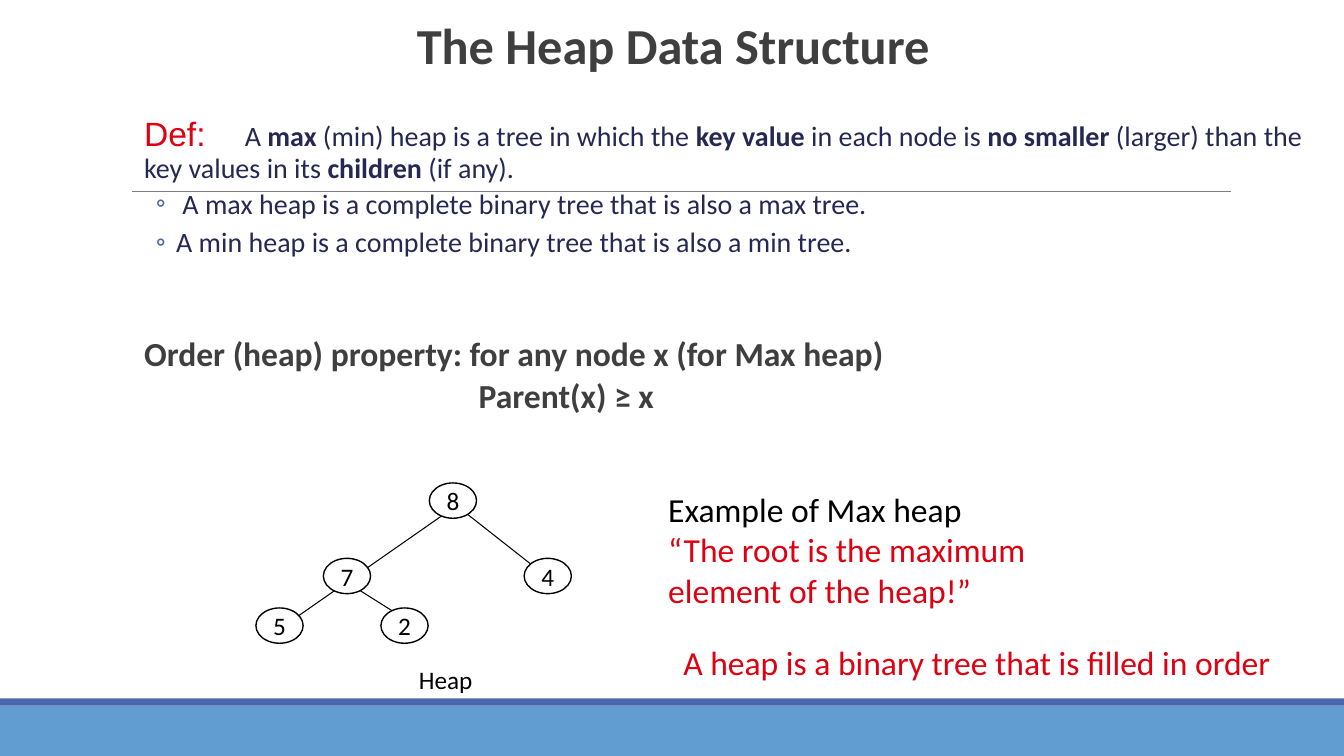
from dataclasses import dataclass
from lxml import etree
from pptx import Presentation
from pptx import util as u
from pptx.dml.color import RGBColor
from pptx.enum import shapes, text
from pptx.oxml.ns import qn

BLACK = RGBColor(0x00, 0x00, 0x00)
WHITE = RGBColor(0xFF, 0xFF, 0xFF)
GRAY = RGBColor(0x3F, 0x3F, 0x3F)
RULE_GRAY = RGBColor(0x7F, 0x7F, 0x7F)
RED = RGBColor(0xDD, 0x01, 0x11)
NAVY = RGBColor(0x24, 0x28, 0x52)
BLUE = RGBColor(0x4A, 0x66, 0xAC)
LIGHT_BLUE = RGBColor(0x62, 0x9D, 0xD1)

SLIDE_WIDTH, SLIDE_HEIGHT = 33.87, 19.05
NODE_WIDTH, NODE_HEIGHT = 1.19, 0.89


@dataclass
class Style:
    size: float
    color: RGBColor
    bold: bool = False
    name: str = "Calibri"


@dataclass
class Line:
    runs: list[tuple[str, Style]]
    before: float = 0
    level: int = 0
    margin: float = 0
    indent: float = 0
    bullet: str = ""
    tab: float = 0
    spacing: float = 1.0
    align: text.PP_ALIGN = text.PP_ALIGN.LEFT


@dataclass
class Box:
    left: float
    top: float
    width: float
    height: float


@dataclass
class Bar:
    box: Box
    color: RGBColor


@dataclass
class Edge:
    x1: float
    y1: float
    x2: float
    y2: float
    color: RGBColor = BLACK


@dataclass
class Node:
    key: str
    left: float
    top: float


@dataclass
class Label:
    box: Box
    lines: list[Line]


DEF = Style(24, RED, name="Arial")
PLAIN = Style(20, NAVY)
STRONG = Style(20, NAVY, True)
ORDER = Style(24, GRAY, True)
NODE = Style(18, BLACK)
NOTE = Style(24, BLACK)
RED_NOTE = Style(24, RED)
CENTER = text.PP_ALIGN.CENTER

BULLET = {"level": 1, "margin": 0.81, "indent": -0.51, "bullet": "◦", "spacing": 0.9}

TITLE = [Line([("The Heap Data Structure", Style(36, GRAY, True))], spacing=0.85, align=CENTER)]
BODY = [
    Line([("Def:\t", DEF), ("A ", PLAIN), ("max", STRONG),
          (" (min) heap is a tree in which the ", PLAIN), ("key value ", STRONG),
          ("in each node is ", PLAIN), ("no smaller ", STRONG),
          ("(larger) than the key values in its ", PLAIN), ("children", STRONG),
          (" (if any).", PLAIN)], tab=2.03, spacing=0.9),
    Line([(" A max heap is a complete binary tree that is also a max tree.", PLAIN)],
         before=4, **BULLET),
    Line([("A min heap is a complete binary tree that is also a min tree.", PLAIN)],
         before=6, **BULLET),
    Line([("Order (heap) property: for any node x (for Max heap)", ORDER)],
         before=56, spacing=0.9),
    Line([("Parent(x) ≥ x", ORDER)], before=4, level=1, margin=8.43, spacing=0.9),
]
BARS = [
    Bar(Box(0, 17.78, SLIDE_WIDTH, 1.27), LIGHT_BLUE),
    Bar(Box(0, 17.6, SLIDE_WIDTH, 0.18), BLUE),
]
EDGES = [
    Edge(3.33, 4.83, 31.01, 4.83, RULE_GRAY),
    Edge(9.04, 14.86, 9.93, 15.42),
    Edge(6.86, 15.98, 11.66, 12.63),
    Edge(13.74, 14.5, 11.07, 12.4),
]
ROOT_TOP, CHILD_TOP, LEAF_TOP = 12.17, 14.07, 15.32
NODES = [
    Node("5", 6.45, LEAF_TOP),
    Node("7", 8.15, CHILD_TOP),
    Node("8", 10.82, ROOT_TOP),
    Node("4", 13.21, CHILD_TOP),
    Node("2", 9.6, LEAF_TOP),
]
LABELS = [
    Label(Box(10.29, 16.61, 1.88, 1.02), [Line([("Heap", NODE)], align=CENTER)]),
    Label(Box(16.59, 12.19, 13.92, 3.33), [
        Line([("Example of Max heap", NOTE)]),
        Line([("“The root is the maximum", RED_NOTE)]),
        Line([("element of the heap!”", RED_NOTE)]),
    ]),
    Label(Box(16.97, 16.05, 22.99, 1.27),
          [Line([("A heap is a binary tree that is filled in order", RED_NOTE)])]),
]


def lengths(box: Box) -> list[u.Length]:
    return [u.Cm(value) for value in (box.left, box.top, box.width, box.height)]


def set_values(target, values: dict) -> None:
    for name, value in values.items():
        setattr(target, name, value)


def format_paragraph(paragraph, line: Line) -> None:
    set_values(paragraph, {"level": line.level, "alignment": line.align,
                           "line_spacing": line.spacing,
                           "space_before": u.Pt(line.before), "space_after": u.Pt(0)})
    properties = paragraph._p.get_or_add_pPr()
    properties.set("marL", str(u.Cm(line.margin)))
    properties.set("indent", str(u.Cm(line.indent)))
    if line.bullet:
        color = etree.SubElement(properties, qn("a:buClr"))
        etree.SubElement(color, qn("a:srgbClr"), val=str(BLUE))
        etree.SubElement(properties, qn("a:buFont"), typeface="Calibri")
        etree.SubElement(properties, qn("a:buChar"), char=line.bullet)
    else:
        etree.SubElement(properties, qn("a:buNone"))
    if line.tab:
        tabs = etree.SubElement(properties, qn("a:tabLst"))
        etree.SubElement(tabs, qn("a:tab"), pos=str(u.Cm(line.tab)), algn="l")


def write(shape, lines: list[Line], **frame_values) -> None:
    frame = shape.text_frame
    set_values(frame, {"word_wrap": True, "auto_size": text.MSO_AUTO_SIZE.NONE,
                       "margin_left": u.Cm(0.25), "margin_right": u.Cm(0.25),
                       "margin_top": u.Cm(0.13), "margin_bottom": u.Cm(0.13),
                       "vertical_anchor": text.MSO_ANCHOR.TOP, **frame_values})
    for index, line in enumerate(lines):
        paragraph = frame.add_paragraph() if index else frame.paragraphs[0]
        format_paragraph(paragraph, line)
        for words, style in line.runs:
            run = paragraph.add_run()
            run.text = words
            set_values(run.font, {"size": u.Pt(style.size), "bold": style.bold,
                                  "name": style.name})
            run.font.color.rgb = style.color


def fill_placeholder(shape, box: Box, lines: list[Line], **frame_values) -> None:
    set_values(shape, dict(zip(("left", "top", "width", "height"), lengths(box))))
    write(shape, lines, **frame_values)


def add_filled(slide, kind: shapes.MSO_SHAPE, box: Box, color: RGBColor):
    shape = slide.shapes.add_shape(kind, *lengths(box))
    shape.shadow.inherit = False
    shape.fill.solid()
    shape.fill.fore_color.rgb = color
    return shape


def add_edge(slide, edge: Edge) -> None:
    ends = [u.Cm(value) for value in (edge.x1, edge.y1, edge.x2, edge.y2)]
    connector = slide.shapes.add_connector(shapes.MSO_CONNECTOR.STRAIGHT, *ends)
    connector.line.color.rgb = edge.color
    connector.line.width = u.Pt(0.75)
    etree.SubElement(connector._element.spPr, qn("a:effectLst"))


def add_node(slide, node: Node) -> None:
    box = Box(node.left, node.top, NODE_WIDTH, NODE_HEIGHT)
    shape = add_filled(slide, shapes.MSO_SHAPE.OVAL, box, WHITE)
    shape.line.color.rgb = BLACK
    shape.line.width = u.Pt(1)
    write(shape, [Line([(node.key, NODE)], align=CENTER)],
          word_wrap=False, vertical_anchor=text.MSO_ANCHOR.MIDDLE)


def main() -> None:
    presentation = Presentation()
    presentation.slide_width = u.Cm(SLIDE_WIDTH)
    presentation.slide_height = u.Cm(SLIDE_HEIGHT)
    slide = presentation.slides.add_slide(presentation.slide_layouts[1])
    fill_placeholder(slide.shapes.title, Box(1.73, 0.41, 30.48, 1.6), TITLE,
                     vertical_anchor=text.MSO_ANCHOR.BOTTOM)
    fill_placeholder(slide.placeholders[1], Box(3.38, 2.84, 30.48, 16.21), BODY,
                     margin_right=0)
    for bar in BARS:
        shape = add_filled(slide, shapes.MSO_SHAPE.RECTANGLE, bar.box, bar.color)
        shape.line.fill.background()
    for edge in EDGES:
        add_edge(slide, edge)
    for node in NODES:
        add_node(slide, node)
    for label in LABELS:
        write(slide.shapes.add_textbox(*lengths(label.box)), label.lines)
    presentation.save("out.pptx")


if __name__ == "__main__":
    main()
